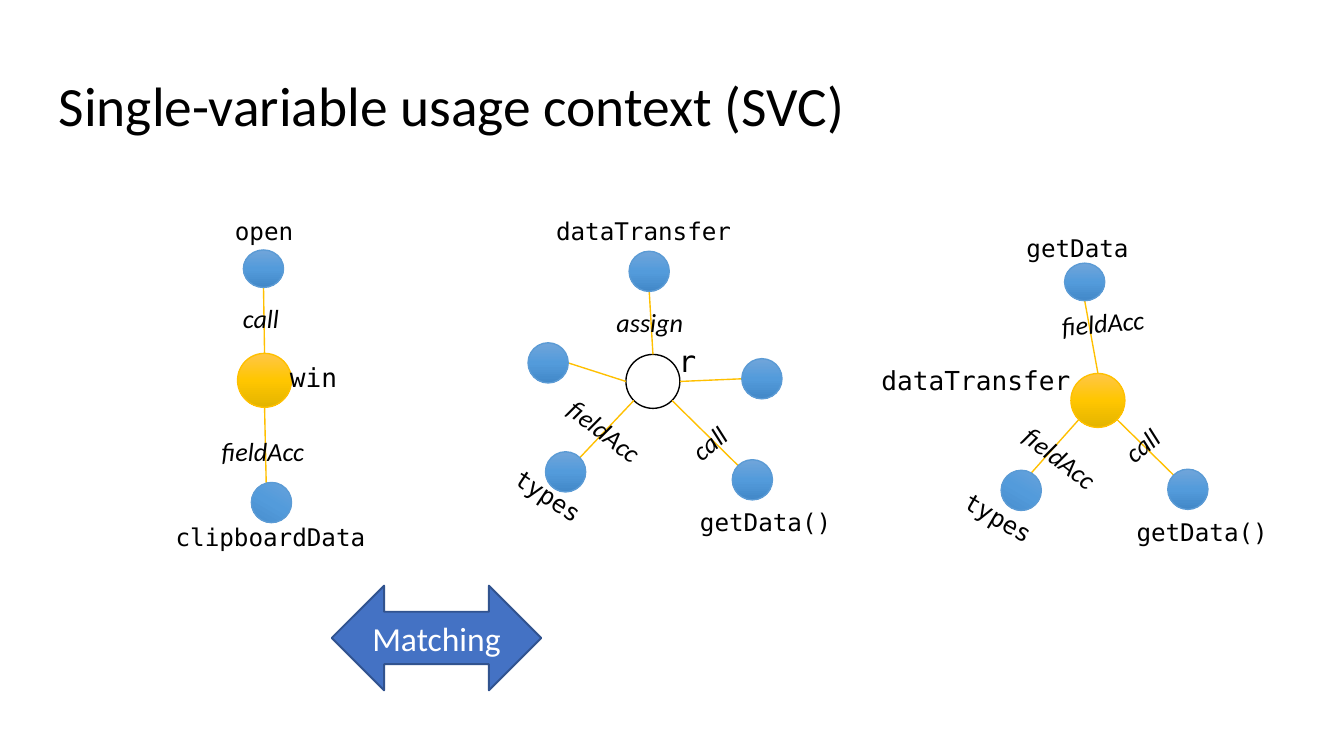
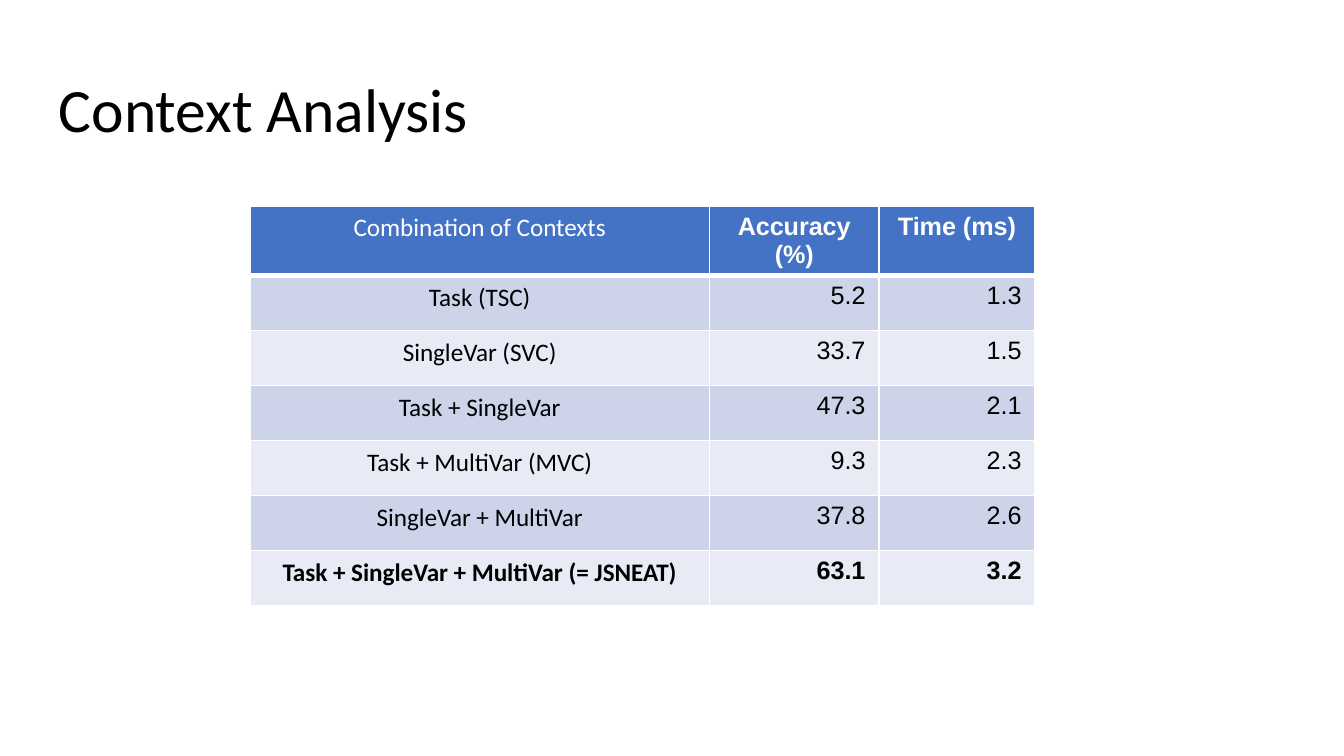
from copy import deepcopy
from math import cos, radians, sin

from lxml.etree import SubElement
from pptx import Presentation
from pptx.dml.color import RGBColor
from pptx.enum.shapes import MSO_CONNECTOR, MSO_SHAPE
from pptx.enum.text import MSO_ANCHOR, MSO_AUTO_SIZE, PP_ALIGN
from pptx.oxml.ns import qn
from pptx.util import Cm, Pt

HUES = {name: RGBColor.from_string(code) for name, code in {
    "black": "000000", "white": "FFFFFF", "blue": "4472C4", "navy": "31538F",
    "gold": "FFC000", "sky": "5B9BD5", "dark": "CDD4EA", "light": "E8EBF5",
}.items()}
FADES = {"gold": ("FFC647", "FFC600", "E3B400"), "sky": ("70A5DA", "539BDB", "4288C8")}
SANS, MONO, ARIAL = "Calibri", "DejaVu Sans Mono", "Arial"
TITLES = [("Single-variable usage context (SVC)", 29.7), ("Context Analysis", 33)]


def write(frame, text, size=14, font=SANS, hue="black", bold=False, italic=False,
          align=PP_ALIGN.LEFT):
    frame.word_wrap = True
    para = frame.paragraphs[0]
    para.alignment = align
    run = para.add_run()
    run.text = text
    run.font.size = Pt(size)
    run.font.name = font
    run.font.bold = bold
    run.font.italic = italic
    run.font.color.rgb = HUES[hue]
    return para


def dot(shapes, x, y, wide, high, hue, tilt=0):
    """Draw an ellipse centred on x, y; a hue with no fade gives an empty ring."""
    oval = shapes.add_shape(MSO_SHAPE.OVAL, Cm(x - wide / 2), Cm(y - high / 2), Cm(wide), Cm(high))
    oval.shadow.inherit = False
    oval.rotation = tilt
    oval.line.color.rgb = HUES[hue]
    oval.line.width = Pt(0.75)
    if hue not in FADES:
        oval.fill.background()
        return
    oval.fill.gradient()
    oval.fill.gradient_angle = 270
    stops = oval._element.spPr.find(qn("a:gradFill")).find(qn("a:gsLst"))
    stops.append(deepcopy(stops[-1]))
    for i, stop in enumerate(oval.fill.gradient_stops):
        stop.color.rgb = RGBColor.from_string(FADES[hue][i])
        stop.position = i / 2


deck = Presentation()
deck.slide_width, deck.slide_height = Cm(25.4), Cm(14.29)
slides = []
for text, size in TITLES:
    slide = deck.slides.add_slide(deck.slide_layouts[5])
    title = slide.shapes.title
    title.left, title.top, title.width, title.height = Cm(0.86), Cm(1.24), Cm(23.67), Cm(1.6)
    frame = title.text_frame
    frame.auto_size = MSO_AUTO_SIZE.NONE
    frame.vertical_anchor = MSO_ANCHOR.TOP
    frame.margin_left = frame.margin_right = frame.margin_top = frame.margin_bottom = Cm(0.25)
    write(frame, text, size=size).line_spacing = 0.9
    slides.append(slide)

# Usage graphs. Node: x, y, height, tilt, angle at the hub, angle at the node.
# Code and edge labels: text, left, top, width, tilt (code labels add a size).
HUB, NODE = 1.02, 0.76
GRAPHS = [
    {"hub": (12.34, 7.21, "black"),
     "nodes": [(12.27, 5.13, 0.76, 0, 90, 270), (14.22, 9.07, 0.76, 0, 315, 135),
               (10.36, 6.86, 0.76, 0, 180, 0), (10.69, 8.92, 0.76, 0, 225, 45),
               (14.4, 7.16, 0.76, 0, 0, 180)],
     "code": [("dataTransfer", 10.26, 3.96, 4.15, 0, 13), ("getData()", 12.98, 9.47, 3.05, 0, 13),
              ("types", 9.42, 8.99, 1.95, 33.8, 13), ("r", 12.57, 6.35, 0.95, 0, 16)],
     "edges": [("assign", 11.4, 5.66, 2.01, 0), ("fieldAcc", 10.31, 7.95, 2.82, 37.8),
               ("call", 12.8, 7.9, 1.32, 320.8)]},
    {"hub": (5, 7.19, "gold"),
     "nodes": [(5.13, 9.5, 0.76, 30.3, 270, 105), (4.98, 5.08, 0.71, 0, 90, 270)],
     "code": [("clipboardData", 3.07, 9.75, 4.15, 0, 13), ("win", 5.23, 6.71, 1.85, 0, 14),
              ("open", 4.19, 3.96, 1.65, 0, 13)],
     "edges": [("fieldAcc", 3.94, 8.1, 2.18, 0), ("call", 4.34, 5.59, 1.28, 0)]},
    {"hub": (20.75, 7.57, "gold"),
     "nodes": [(22.45, 9.25, 0.76, 0, 315, 135), (19.3, 9.27, 0.76, 30.3, 225, 60),
               (20.5, 5.33, 0.71, 0, 90, 270)],
     "code": [("getData()", 21.23, 9.65, 3.05, 0, 13), ("types", 17.93, 9.4, 1.95, 30.3, 13),
              ("dataTransfer", 16.41, 6.76, 4.15, 0, 14), ("getData", 19.15, 4.29, 2.5, 0, 13)],
     "edges": [("fieldAcc", 18.92, 8.46, 2.82, 37.8), ("call", 20.98, 7.95, 1.3, 320.8),
               ("fieldAcc", 19.81, 5.64, 2.82, 355)]},
]
for graph in GRAPHS:
    shapes = slides[0].shapes.add_group_shape().shapes
    hx, hy, hue = graph["hub"]
    dot(shapes, hx, hy, HUB, HUB, hue)
    for x, y, high, tilt, out, back in graph["nodes"]:
        out, back = radians(out), radians(back)
        link = shapes.add_connector(
            MSO_CONNECTOR.STRAIGHT,
            Cm(hx + HUB / 2 * cos(out)), Cm(hy - HUB / 2 * sin(out)),
            Cm(x + NODE / 2 * cos(back)), Cm(y - high / 2 * sin(back)))
        link.line.color.rgb = HUES["gold"]
        link.line.width = Pt(0.75)
        SubElement(link._element.spPr, qn("a:effectLst"))
        dot(shapes, x, y, NODE, high, "sky", tilt)
    labels = [(*label, MONO, False) for label in graph["code"]]
    labels += [(*label, 14, SANS, True) for label in graph["edges"]]
    for text, x, y, wide, tilt, size, font, italic in labels:
        box = shapes.add_textbox(Cm(x), Cm(y), Cm(wide), Cm(size * 0.062))
        box.rotation = tilt
        write(box.text_frame, text, size=size, font=font, italic=italic)

arrow = slides[0].shapes.add_shape(
    MSO_SHAPE.LEFT_RIGHT_ARROW, Cm(6.27), Cm(11.07), Cm(3.96), Cm(1.98))
arrow.shadow.inherit = False
arrow.fill.solid()
arrow.fill.fore_color.rgb = HUES["blue"]
arrow.line.color.rgb = HUES["navy"]
arrow.line.width = Pt(1)
arrow.text_frame.vertical_anchor = MSO_ANCHOR.MIDDLE
write(arrow.text_frame, "Matching", size=18, hue="white", align=PP_ALIGN.CENTER)

# Results table
ROWS = [
    ("Combination of Contexts", "Accuracy (%)", "Time (ms)"),
    ("Task (TSC)", "5.2", "1.3"),
    ("SingleVar (SVC)", "33.7", "1.5"),
    ("Task + SingleVar", "47.3", "2.1"),
    ("Task + MultiVar (MVC)", "9.3", "2.3"),
    ("SingleVar + MultiVar", "37.8", "2.6"),
    ("Task + SingleVar + MultiVar (= JSNEAT)", "63.1", "3.2"),
]
WIDTHS = (8.69, 3.2, 2.95)
HIGH = 1.04
table = slides[1].shapes.add_table(len(ROWS), len(WIDTHS), Cm(4.72), Cm(3.89),
                                   Cm(sum(WIDTHS)), Cm(HIGH * len(ROWS))).table
for col, wide in zip(table.columns, WIDTHS):
    col.width = Cm(wide)
for r, row in enumerate(ROWS):
    table.rows[r].height = Cm(HIGH)
    head, last = r == 0, r == len(ROWS) - 1
    for c, text in enumerate(row):
        cell = table.cell(r, c)
        props = cell._tc.get_or_add_tcPr()
        for side in "LRTB":
            thick = (head and side == "B") or (r == 1 and side == "T")
            edge = SubElement(props, qn(f"a:ln{side}"), w=str(Pt(3 if thick else 1)))
            SubElement(SubElement(edge, qn("a:solidFill")), qn("a:srgbClr"),
                       val=str(HUES["white"]))
        cell.fill.solid()
        cell.fill.fore_color.rgb = HUES["blue" if head else "dark" if r % 2 else "light"]
        write(cell.text_frame, text, size=13.5, font=ARIAL if c else SANS,
              hue="white" if head else "black", bold=last or (head and c > 0),
              align=PP_ALIGN.RIGHT if c and not head else PP_ALIGN.CENTER)

deck.save("out.pptx")
